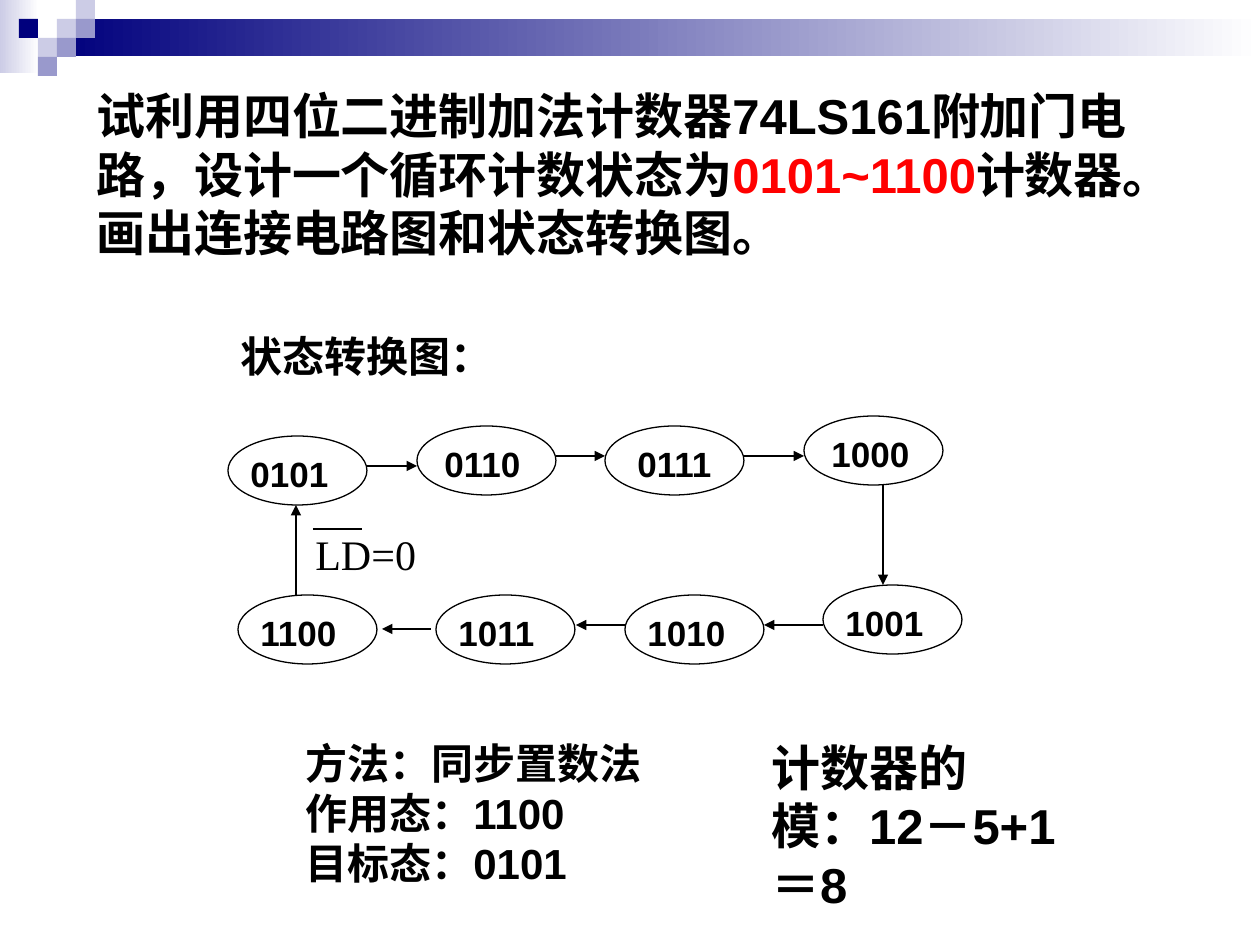
from dataclasses import dataclass

from lxml.etree import SubElement
from pptx import Presentation
from pptx.dml.color import RGBColor as Rgb
from pptx.enum.shapes import MSO_CONNECTOR as Link, MSO_SHAPE as Shape
from pptx.enum.text import MSO_ANCHOR as Anchor
from pptx.oxml.ns import qn
from pptx.util import Emu, Pt

PX_PER_INCH = 126
EMU_PER_PX = 914400 / PX_PER_INCH


@dataclass(frozen=True)
class Theme:
    """Colours, fonts and sizes of the slide."""
    ink: str = "000000"
    accent: str = "FF0000"
    paper: str = "FFFFFF"
    navy: str = "00007D"
    violet: str = "9999CC"
    lilac: str = "CCCCE6"
    sans: str = "Arial"
    serif: str = "Times New Roman"
    title: int = 28
    body: int = 24
    state: int = 20
    rule: float = 0.75


THEME = Theme()
TILE = 19
STATE_SIZE = (139, 69)
LABEL_SIZE = (228, 55)

TILES = [
    (3, 1, THEME.lilac), (4, 0, THEME.lilac), (4, 1, THEME.violet),
    (2, 2, THEME.lilac), (1, 1, THEME.navy), (3, 2, THEME.violet),
    (2, 3, THEME.violet),
]
STATES = [
    ("0101", 228, 436, 10), ("0110", 417, 426, 15),
    ("0111", 605, 426, 20), ("1000", 804, 416, 15),
    ("1001", 823, 585, 10), ("1010", 625, 595, 10),
    ("1011", 436, 595, 10), ("1100", 238, 595, 10),
]
ARROWS = [
    (367, 466, 417, 466), (556, 456, 605, 456), (743, 456, 804, 456),
    (883, 485, 883, 585), (823, 625, 764, 625), (625, 625, 576, 625),
    (431, 629, 382, 629), (296, 596, 296, 505),
]
TITLE = [
    ("试利用四位二进制加法计数器74LS161附加门电路，设计一个循环计数状态为", THEME.ink),
    ("0101~1100", THEME.accent),
    ("计数器。画出连接电路图和状态转换图。", THEME.ink),
]
METHOD = ["方法：同步置数法", "作用态：1100", "目标态：0101"]


def px(*lengths):
    """Turn pixel lengths into EMU."""
    return [Emu(round(length * EMU_PER_PX)) for length in lengths]


def apply(target, values):
    """Set each named attribute on the target."""
    for name, value in values.items():
        setattr(target, name, value)


def add_block(page, kind, place):
    """Add a preset shape without shadow, fill or outline."""
    block = page.shapes.add_shape(kind, *px(*place))
    block.shadow.inherit = False
    block.fill.background()
    block.line.fill.background()
    return block


def add_fade(page, place, colour):
    """Add a rectangle that fades to the paper colour on the right."""
    fill = add_block(page, Shape.RECTANGLE, place).fill
    fill.gradient()
    fill.gradient_angle = 0
    for stop, shade in zip(fill.gradient_stops, (colour, THEME.paper)):
        stop.color.rgb = Rgb.from_string(shade)


def add_tile(page, column, row, colour):
    """Add one square of the corner mosaic."""
    tile = add_block(page, Shape.RECTANGLE, (column * TILE, row * TILE, TILE, TILE))
    tile.fill.solid()
    tile.fill.fore_color.rgb = Rgb.from_string(colour)


def set_rule(line):
    """Give an outline the diagram's colour and width."""
    line.color.rgb = Rgb.from_string(THEME.ink)
    line.width = Pt(THEME.rule)


def add_text(page, place, paragraphs, size, font=THEME.sans, bold=True, anchor=Anchor.TOP):
    """Add a text box of (text, colour) spans whose punctuation stays inside the margin."""
    box = page.shapes.add_textbox(*px(*place))
    frame = box.text_frame
    apply(frame, {"word_wrap": True, "vertical_anchor": anchor})
    for index, spans in enumerate(paragraphs):
        para = frame.add_paragraph() if index else frame.paragraphs[0]
        para._p.get_or_add_pPr().set("hangingPunct", "0")
        for text, colour in spans:
            span = para.add_run()
            span.text = text
            apply(span.font, {"name": font, "size": Pt(size), "bold": bold})
            span.font.color.rgb = Rgb.from_string(colour)


def add_lines(page, place, lines, size, **style):
    """Add a text box with one ink-coloured paragraph per line."""
    add_text(page, place, [[(line, THEME.ink)] for line in lines], size, **style)


def add_state(page, name, left, top, indent):
    """Add a state ellipse and its label."""
    set_rule(add_block(page, Shape.OVAL, (left, top, *STATE_SIZE)).line)
    add_lines(page, (left + indent, top + 10, *LABEL_SIZE), [name], THEME.state)


def add_line(page, ends, arrow=True):
    """Add a straight line, with an arrowhead at its end if wanted."""
    link = page.shapes.add_connector(Link.STRAIGHT, *px(*ends))
    set_rule(link.line)
    if arrow:
        SubElement(link.line._get_or_add_ln(), qn("a:tailEnd"), type="triangle")
    SubElement(link._element.spPr, qn("a:effectLst"))


def main():
    """Build the counter slide and save it."""
    deck = Presentation()
    apply(deck, dict(zip(("slide_width", "slide_height"), px(1260, 945))))
    page = deck.slides.add_slide(deck.slide_layouts[6])

    add_fade(page, (0, 0, 39, 73), THEME.lilac)
    add_fade(page, (57, 19, 1203, 37), THEME.navy)
    for tile in TILES:
        add_tile(page, *tile)

    add_text(page, (84, 85, 1134, 177), [TITLE], THEME.title, anchor=Anchor.MIDDLE)
    for state in STATES:
        add_state(page, *state)
    for ends in ARROWS:
        add_line(page, ends)

    add_lines(page, (303, 522, 163, 63), ["LD=0"], THEME.body, font=THEME.serif, bold=False)
    add_line(page, (313, 529, 362, 529), arrow=False)
    add_lines(page, (293, 731, 415, 164), METHOD, THEME.body)
    add_lines(page, (228, 324, 318, 63), ["状态转换图："], THEME.body)
    add_lines(page, (759, 731, 318, 189), ["计数器的模：12－5+1＝8"], THEME.title)
    deck.save("out.pptx")


if __name__ == "__main__":
    main()
